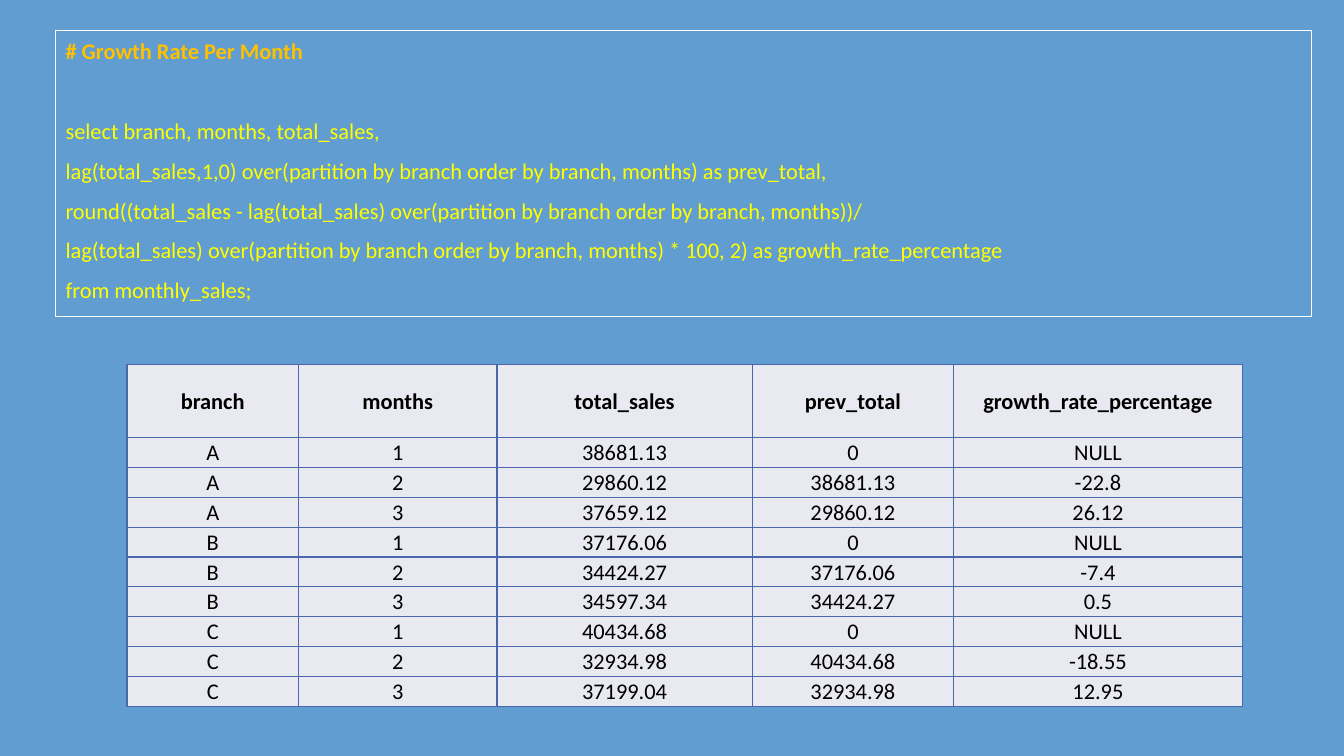
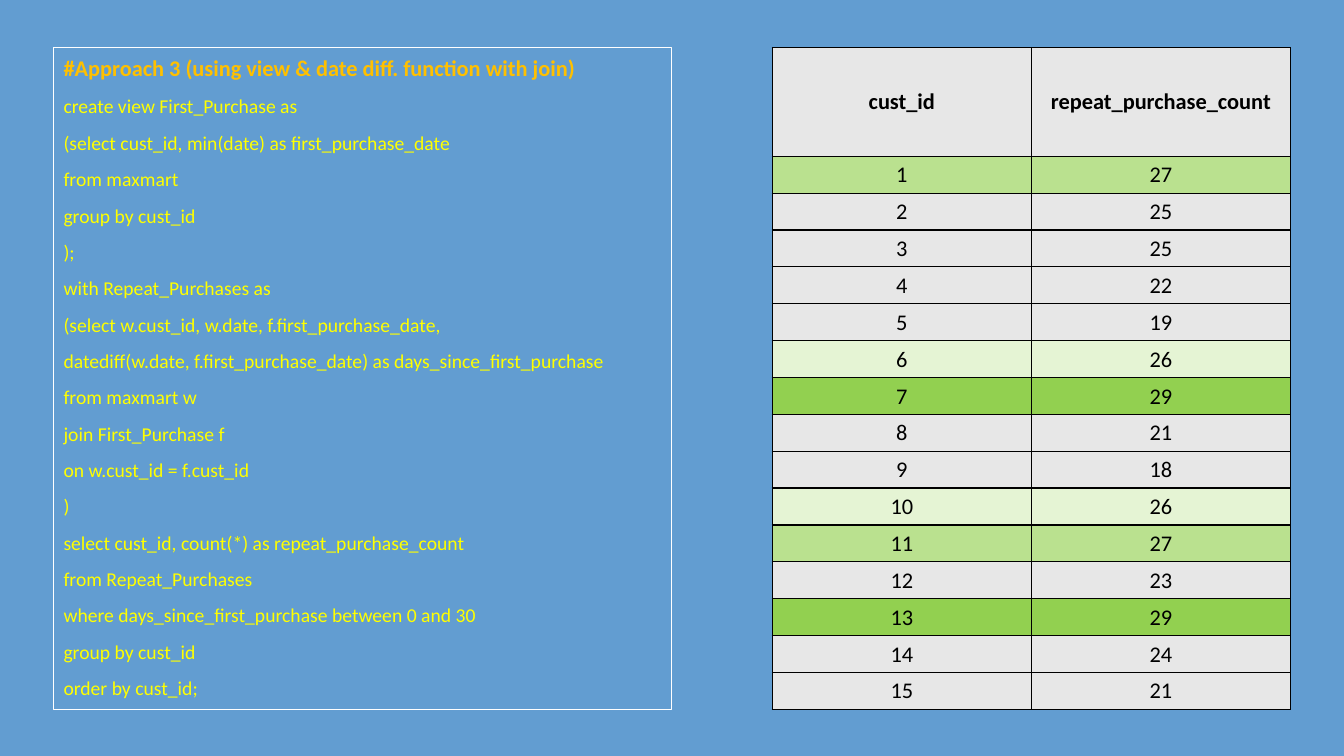
from lxml import etree
from pptx import Presentation
from pptx.dml.color import RGBColor
from pptx.enum.text import MSO_ANCHOR, MSO_AUTO_SIZE, PP_ALIGN
from pptx.oxml.ns import qn
from pptx.util import Inches, Pt

TOP, MIDDLE = MSO_ANCHOR.TOP, MSO_ANCHOR.MIDDLE
LEFT, CENTER = PP_ALIGN.LEFT, PP_ALIGN.CENTER
NO_FIT = MSO_AUTO_SIZE.NONE

# Shared style
FONT = "Calibri"
BACK, FRAME, HEAD, CODE, INK = "629DD1", "FFFFFF", "FFC000", "FFFF00", "000000"
QUERY = {"leading": 1.07, "after": 8}
GREENS = {"29": "92D050", "27": "BAE18F", "26": "E5F4D4"}

# Content
SLIDES = [
    {
        "title": "# Growth Rate Per Month",
        "code": [
            "select branch, months, total_sales,",
            "lag(total_sales,1,0) over(partition by branch order by branch, months) as prev_total,",
            "round((total_sales - lag(total_sales) over(partition by branch order by branch, months))/",
            "lag(total_sales) over(partition by branch order by branch, months) * 100, 2) as growth_rate_percentage",
            "from monthly_sales;",
        ],
        "size": 16,
        "box": (0.55, 0.3, 12.46, 2.84),
        "inset": 0.84,
        "grid": (1.26, 3.62, 3.39),
        "cols": [1.7, 1.97, 2.53, 2, 2.86],
        "header": 0.72,
        "border": "4A66AC",
        "fill": "E9EAF1",
        "shades": {},
        "rows": [
            ("branch", "months", "total_sales", "prev_total", "growth_rate_percentage"),
            ("A", "1", "38681.13", "0", "NULL"),
            ("A", "2", "29860.12", "38681.13", "-22.8"),
            ("A", "3", "37659.12", "29860.12", "26.12"),
            ("B", "1", "37176.06", "0", "NULL"),
            ("B", "2", "34424.27", "37176.06", "-7.4"),
            ("B", "3", "34597.34", "34424.27", "0.5"),
            ("C", "1", "40434.68", "0", "NULL"),
            ("C", "2", "32934.98", "40434.68", "-18.55"),
            ("C", "3", "37199.04", "32934.98", "12.95"),
        ],
    },
    {
        "title": "#Approach 3 (using view & date diff. function with join)",
        "code": [
            "create view First_Purchase as",
            "(select cust_id, min(date) as first_purchase_date",
            "from maxmart",
            "group by cust_id",
            ");",
            "with Repeat_Purchases as",
            "(select w.cust_id, w.date, f.first_purchase_date,",
            "datediff(w.date, f.first_purchase_date) as days_since_first_purchase",
            "from maxmart w",
            "join First_Purchase f",
            "on w.cust_id = f.cust_id",
            ")",
            "select cust_id, count(*) as repeat_purchase_count",
            "from Repeat_Purchases",
            "where days_since_first_purchase between 0 and 30",
            "group by cust_id",
            "order by cust_id;",
        ],
        "size": 14,
        "box": (0.53, 0.47, 6.13, 6.57),
        "inset": 0.45,
        "grid": (7.66, 0.47, 6.57),
        "cols": [2.57, 2.57],
        "header": 1.08,
        "border": "000000",
        "fill": "E7E7E7",
        "shades": GREENS,
        "rows": [
            ("cust_id", "repeat_purchase_count"),
            ("1", "27"), ("2", "25"), ("3", "25"), ("4", "22"), ("5", "19"),
            ("6", "26"), ("7", "29"), ("8", "21"), ("9", "18"), ("10", "26"),
            ("11", "27"), ("12", "23"), ("13", "29"), ("14", "24"), ("15", "21"),
        ],
    },
]


def color(code):
    return RGBColor.from_string(code)


def write(frame, lines, size=16, ink=INK, bold=False, align=LEFT, leading=None, after=0):
    """Fill a text frame, one paragraph a line, without bullets."""
    for i, line in enumerate(lines):
        para = frame.paragraphs[0] if i == 0 else frame.add_paragraph()
        para.alignment, para.line_spacing = align, leading
        para.space_before, para.space_after = Pt(0), Pt(after)
        props = para._p.get_or_add_pPr()
        props.set("marL", "0")
        props.set("indent", "0")
        etree.SubElement(props, qn("a:buNone"))
        run = para.add_run()
        run.text = line
        font = run.font
        font.name, font.size, font.bold = FONT, Pt(size), bold
        font.color.rgb = color(ink)


def place(shape, left, top, width, height, inset=0.05):
    """Move a placeholder and anchor its text at the top."""
    shape.left, shape.top = Inches(left), Inches(top)
    shape.width, shape.height = Inches(width), Inches(height)
    frame = shape.text_frame
    frame.word_wrap, frame.auto_size = True, NO_FIT
    frame.vertical_anchor = TOP
    frame.margin_left = frame.margin_right = Inches(0.1)
    frame.margin_top, frame.margin_bottom = Inches(inset), Inches(0.05)
    return frame


def edge(cell, ink):
    """Draw a one point border on all sides of a cell."""
    props = cell._tc.get_or_add_tcPr()
    for side in "LRTB":
        line = etree.SubElement(props, qn("a:ln" + side), w=str(Pt(1)))
        fill = etree.SubElement(line, qn("a:solidFill"))
        etree.SubElement(fill, qn("a:srgbClr"), val=ink)


def add_query(slide, item):
    left, top, width, height = item["box"]
    title, body = slide.shapes.title, slide.placeholders[1]
    write(place(title, left, top, width, 0.4), [item["title"]],
          ink=HEAD, bold=True, **QUERY)
    write(place(body, left, top, width, height, item["inset"]), item["code"],
          size=item["size"], ink=CODE, **QUERY)
    body.line.color.rgb = color(FRAME)
    body.line.width = Pt(0.75)


def add_grid(slide, item):
    rows, cols = item["rows"], item["cols"]
    left, top, height = item["grid"]
    table = slide.shapes.add_table(
        len(rows), len(cols), Inches(left), Inches(top),
        Inches(sum(cols)), Inches(height)).table
    table.horz_banding = False
    for col, width in zip(table.columns, cols):
        col.width = Inches(width)
    step = (height - item["header"]) / (len(rows) - 1)
    for r, row in enumerate(rows):
        table.rows[r].height = Inches(step if r else item["header"])
        shade = item["shades"].get(row[-1], item["fill"])
        for c, value in enumerate(row):
            cell = table.cell(r, c)
            edge(cell, item["border"])
            cell.fill.solid()
            cell.fill.fore_color.rgb = color(shade)
            cell.vertical_anchor = MIDDLE
            cell.margin_left = cell.margin_right = cell.margin_top = Inches(0.01)
            cell.margin_bottom = 0
            write(cell.text_frame, [value], bold=r == 0, align=CENTER)


def main():
    deck = Presentation()
    deck.slide_width, deck.slide_height = Inches(13.33), Inches(7.5)
    back = deck.slide_master.background.fill
    back.solid()
    back.fore_color.rgb = color(BACK)
    for item in SLIDES:
        slide = deck.slides.add_slide(deck.slide_layouts[1])
        add_query(slide, item)
        add_grid(slide, item)
    deck.save("out.pptx")


if __name__ == "__main__":
    main()
